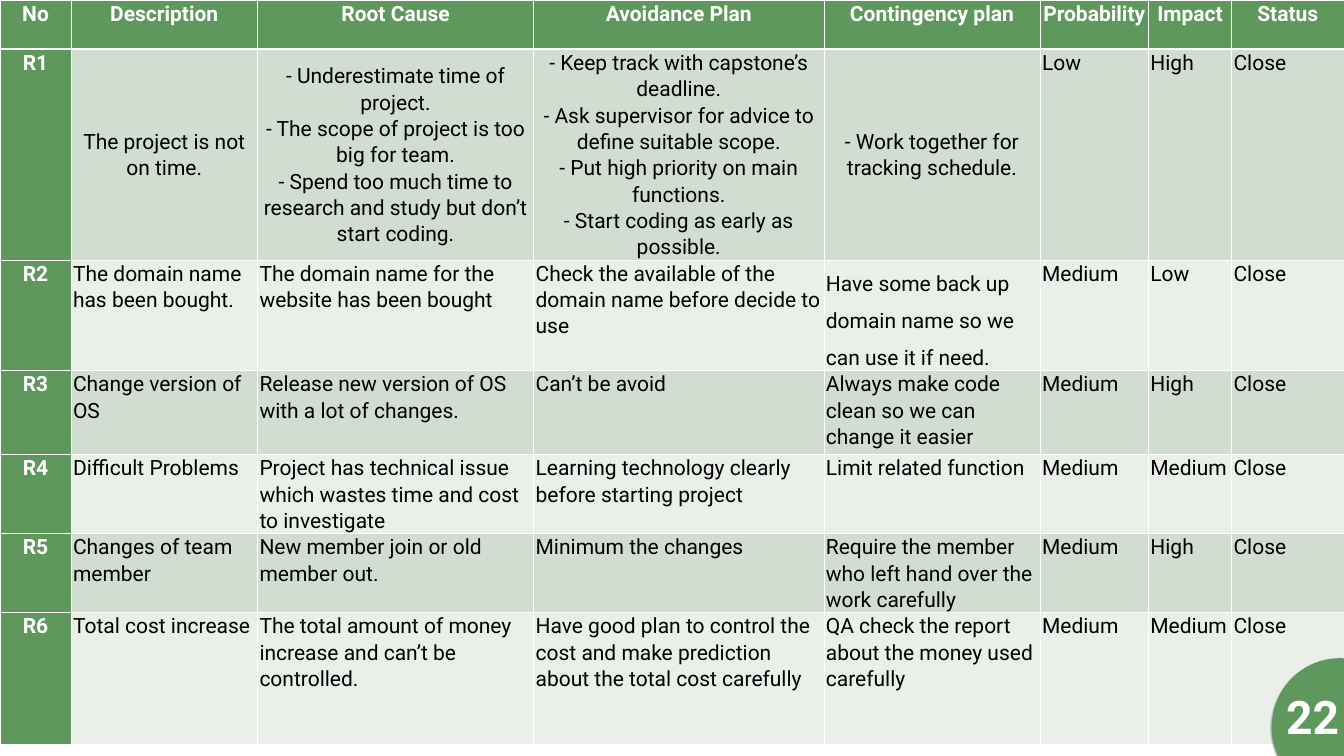
"""Build a risk register slide: one full-page table and a page number badge."""
from lxml import etree
from pptx import Presentation
from pptx.dml.color import RGBColor
from pptx.enum.shapes import MSO_SHAPE
from pptx.enum.text import MSO_ANCHOR, PP_ALIGN
from pptx.oxml import parse_xml
from pptx.util import Inches, Pt

CENTER, LEFT = PP_ALIGN.CENTER, PP_ALIGN.LEFT
TOP, MIDDLE = MSO_ANCHOR.TOP, MSO_ANCHOR.MIDDLE
OVAL = MSO_SHAPE.OVAL
NAMESPACE = "http://schemas.openxmlformats.org/drawingml/2006/main"
FONT = "Roboto"
GREEN, WHITE, BLACK = "5F985D", "FFFFFF", "000000"
BANDS = ["EAEFEA", "D2DDD2"]

COLUMN_WIDTHS = [1.41, 3.7, 5.48, 5.76, 4.29, 2.15, 1.65, 2.23]
ROW_HEIGHTS = [0.98, 3.97, 2.03, 1.67, 1.51, 1.48, 2.62]
RISKS = [
    ["No", "Description", "Root Cause", "Avoidance Plan", "Contingency plan",
     "Probability", "Impact", "Status"],
    ["R1", "The project is not on time.",
     "- Underestimate time of project.\n"
     "- The scope of project is too big for team.\n"
     "- Spend too much time to research and study but don’t start coding.",
     "- Keep track with capstone’s deadline.\n"
     "- Ask supervisor for advice to define suitable scope.\n"
     "- Put high priority on main functions.\n"
     "- Start coding as early as possible.",
     "- Work together for tracking schedule.", "Low", "High", "Close"],
    ["R2", "The domain name has been bought.",
     "The domain name for the website has been bought",
     "Check the available of the domain name before decide to use",
     "Have some back up domain name so we can use it if need.",
     "Medium", "Low", "Close"],
    ["R3", "Change version of OS",
     "Release new version of OS with a lot of changes.",
     "Can’t be avoid", "Always make code clean so we can change it easier",
     "Medium", "High", "Close"],
    ["R4", "Difficult Problems",
     "Project has technical issue which wastes time and cost to investigate",
     "Learning technology clearly before starting project",
     "Limit related function", "Medium", "Medium", "Close"],
    ["R5", "Changes of team member", "New member join or old member out.",
     "Minimum the changes",
     "Require the member who left hand over the work carefully",
     "Medium", "High", "Close"],
    ["R6", "Total cost increase",
     "The total amount of money increase and can’t be controlled.",
     "Have good plan to control the cost and make prediction about the total cost carefully",
     "QA check the report about the money used carefully",
     "Medium", "Medium", "Close"],
]


def color(value):
    return RGBColor.from_string(value)


def style_font(font, size, value, bold):
    font.name = FONT
    font.size = Pt(size)
    font.bold = bold
    font.color.rgb = color(value)


deck = Presentation()
deck.slide_width, deck.slide_height = Inches(26.67), Inches(15)
page = deck.slides.add_slide(deck.slide_layouts[6])
page.background.fill.solid()
page.background.fill.fore_color.rgb = color(WHITE)

table = page.shapes.add_table(
    len(ROW_HEIGHTS), len(COLUMN_WIDTHS), 0, 0, Inches(26.67), Inches(sum(ROW_HEIGHTS))
).table
for column, width in zip(table.columns, COLUMN_WIDTHS):
    column.width = Inches(width)
for row, height in zip(table.rows, ROW_HEIGHTS):
    row.height = Inches(height)

for row_index, texts in enumerate(RISKS):
    for column_index, text in enumerate(texts):
        cell = table.cell(row_index, column_index)
        heading = row_index == 0 or column_index == 0
        centered_body = row_index == 1 and 1 <= column_index <= 4
        cell.text_frame.text = text
        cell.vertical_anchor = MIDDLE if centered_body else TOP
        cell.margin_left = cell.margin_right = Inches(0.07 if centered_body else 0.04)
        cell.margin_top = cell.margin_bottom = 0
        cell.fill.solid()
        cell.fill.fore_color.rgb = color(GREEN if heading else BANDS[row_index % 2])
        for para in cell.text_frame.paragraphs:
            para.alignment = CENTER if heading or centered_body else LEFT
            para.line_spacing = 1.5 if (row_index, column_index) == (2, 4) else 1.07
            for span in para.runs:
                style_font(span.font, 30, WHITE if heading else BLACK, heading)

        properties = cell._tc.get_or_add_tcPr()
        for position, side in enumerate("LRTB"):
            under_header = (row_index, side) in [(0, "B"), (1, "T")]
            border = parse_xml(
                f'<a:ln{side} xmlns:a="{NAMESPACE}" w="{Pt(3 if under_header else 1)}">'
                f'<a:solidFill><a:srgbClr val="{WHITE}"/></a:solidFill></a:ln{side}>'
            )
            properties.insert(position, border)

badge = page.shapes.add_shape(OVAL, Inches(25.24), Inches(13.06), Inches(2.7), Inches(2.7))
badge.shadow.inherit = False
badge.fill.solid()
badge.fill.fore_color.rgb = color(GREEN)
badge.line.fill.background()
effects = badge._element.spPr.find(f"{{{NAMESPACE}}}effectLst")
shadow = etree.SubElement(
    effects, f"{{{NAMESPACE}}}outerShdw", blurRad=str(Pt(3)), dist=str(Pt(2)),
    dir="5400000", algn="t", rotWithShape="0",
)
shadow_color = etree.SubElement(shadow, f"{{{NAMESPACE}}}srgbClr", val=BLACK)
etree.SubElement(shadow_color, f"{{{NAMESPACE}}}alpha", val="50000")

number_box = page.shapes.add_textbox(Inches(25.42), Inches(13.61), Inches(1.26), Inches(1.21))
number_box.text_frame.word_wrap = False
number_box.text_frame.text = "22"
number_para = number_box.text_frame.paragraphs[0]
number_para.alignment = CENTER
style_font(number_para.runs[0].font, 66, WHITE, True)

deck.save("out.pptx")
